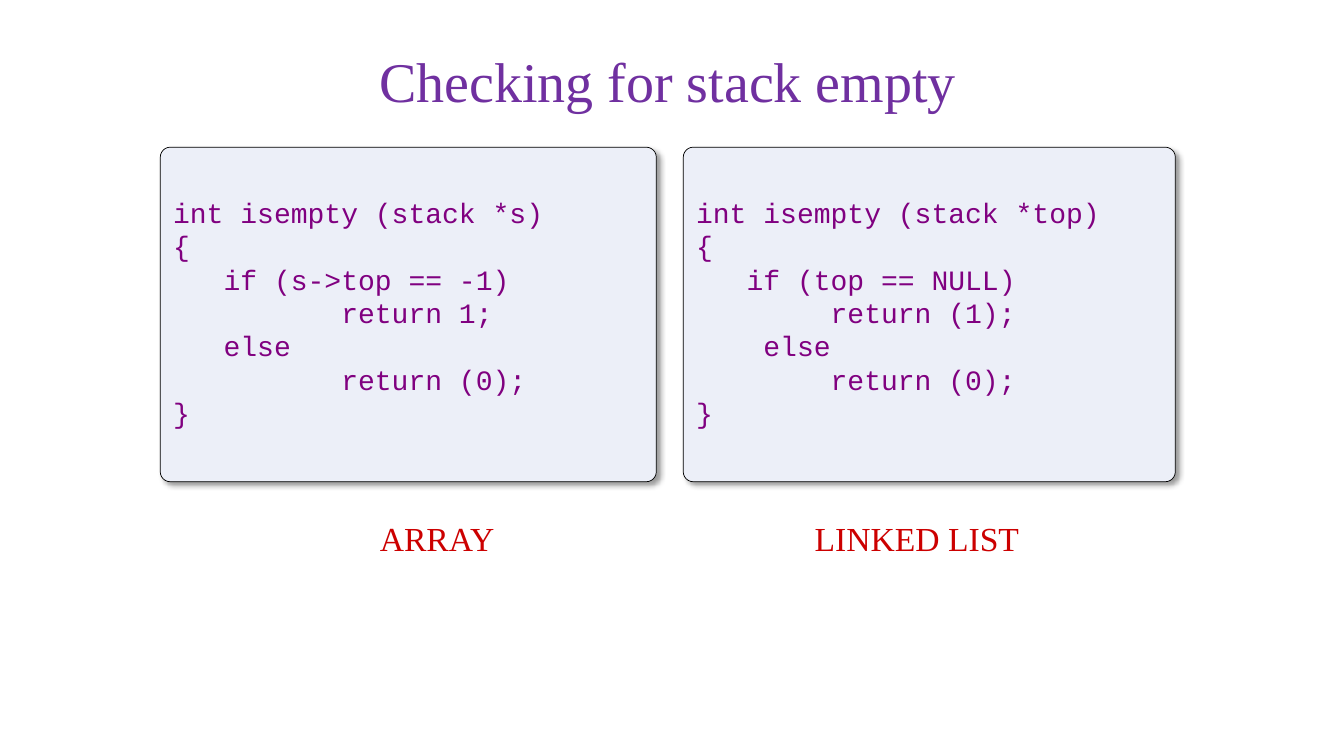
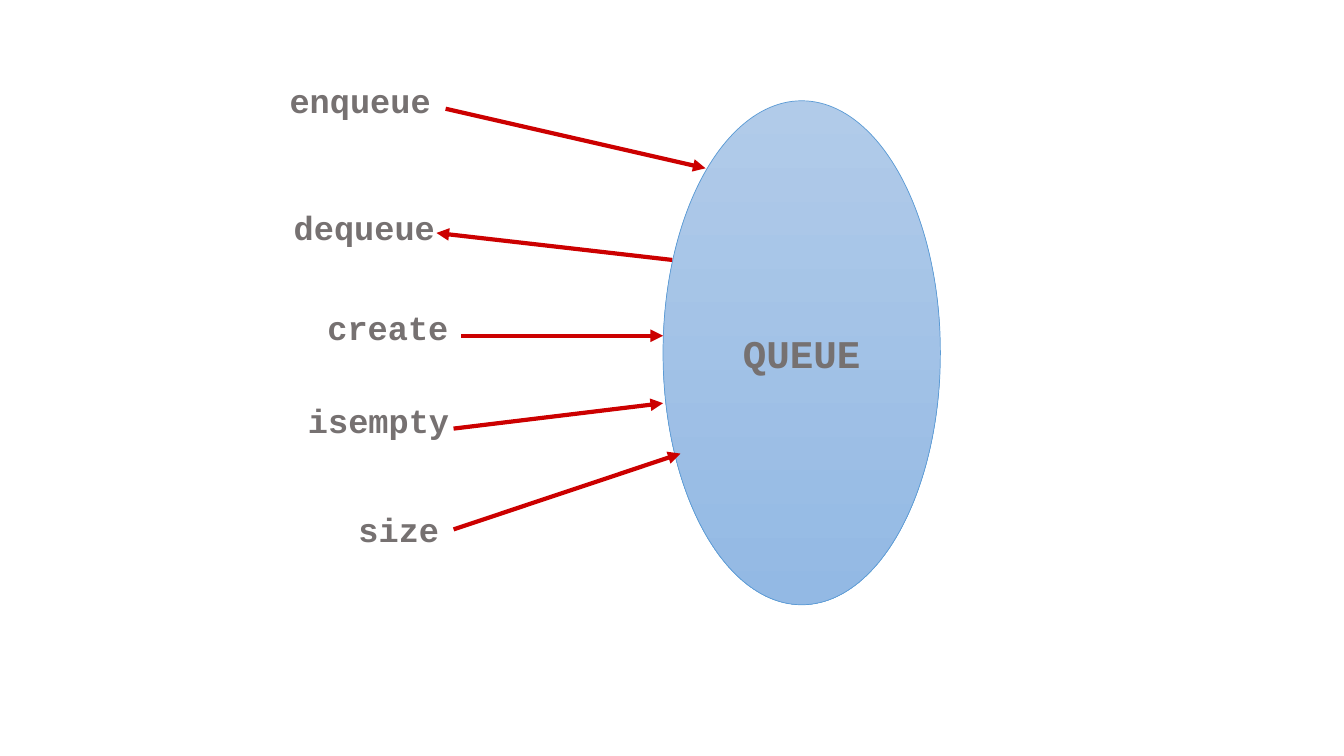
from dataclasses import dataclass

from lxml import etree
from pptx import Presentation
from pptx.dml.color import RGBColor
from pptx.enum import shapes, text
from pptx.oxml import ns
from pptx.util import Cm, Pt


@dataclass(frozen=True)
class Theme:
    serif: str = "Times New Roman"
    mono: str = "Courier New"
    title: str = "7030A0"
    code: str = "800080"
    accent: str = "CC0000"
    grey: str = "767171"
    panel: str = "ECEFF8"
    black: str = "000000"
    ellipse_top: str = "B1CBE9"
    ellipse_bottom: str = "93B9E4"
    ellipse_line: str = "5B9BD5"
    title_size: int = 40
    queue_size: int = 28
    label_size: int = 24
    code_size: int = 20


THEME = Theme()
LABEL_HEIGHT = 1.27
PANEL_TOP, PANEL_HEIGHT = 3.71, 8.43
CAPTION_TOP = 12.93

STACK_TITLE = "Checking for stack empty"
STACK_PANELS = [
    {
        "left": 4.04, "width": 12.5,
        "caption": ("ARRAY", 8.69, 4.65),
        "code": [
            "int isempty (stack *s)",
            "{",
            "   if (s->top == -1)",
            "          return 1;",
            "   else",
            "          return (0);",
            "}",
        ],
    },
    {
        "left": 17.22, "width": 12.4,
        "caption": ("LINKED LIST", 19.89, 6.43),
        "code": [
            "int isempty (stack *top)",
            "{",
            "   if (top == NULL)",
            "        return (1);",
            "    else",
            "        return (0);",
            "}",
        ],
    },
]

QUEUE_NAME = "QUEUE"
QUEUE_BOX = (16.71, 2.54, 6.99, 12.7)
QUEUE_OPERATIONS = [
    ("enqueue", (6.93, 1.9, 4.29), (11.23, 2.74), (17.78, 4.24)),
    ("dequeue", (6.93, 5.08, 4.5), (16.94, 6.55), (11, 5.87)),
    ("create", (7.92, 7.62, 3.71), (11.63, 8.46), (16.71, 8.46)),
    ("isempty", (7.42, 9.96, 4.24), (11.43, 10.8), (16.71, 10.16)),
    ("size", (8.46, 12.7, 3.18), (11.43, 13.34), (17.15, 11.43)),
]


def color(value):
    return RGBColor.from_string(value)


def lengths(*values):
    return [Cm(value) for value in values]


def add_element(parent, tag, **attributes):
    return etree.SubElement(parent, ns.qn(tag), attributes)


def write(frame, lines, font_name, size, font_color, bold=False,
          align=text.PP_ALIGN.CENTER, line_spacing=None, gap=0):
    for index, line in enumerate(lines):
        paragraph = frame.paragraphs[0] if index == 0 else frame.add_paragraph()
        paragraph.alignment = align
        paragraph.line_spacing = line_spacing
        if index:
            paragraph.space_before = Pt(gap)
        run = paragraph.add_run()
        run.text = line
        run.font.name = font_name
        run.font.size = Pt(size)
        run.font.bold = bold
        run.font.color.rgb = color(font_color)


def add_title(slide, title):
    shape = slide.shapes.title
    shape.left, shape.top, shape.width, shape.height = lengths(4.72, 0.53, 24.21, 3.18)
    shape.text_frame.vertical_anchor = text.MSO_ANCHOR.MIDDLE
    write(shape.text_frame, [title], THEME.serif, THEME.title_size, THEME.title,
          line_spacing=0.9)


def add_label(slide, label, left, top, width, font_name, font_color, bold=False):
    shape = slide.shapes.add_textbox(*lengths(left, top, width, LABEL_HEIGHT))
    frame = shape.text_frame
    frame.word_wrap = True
    frame.auto_size = text.MSO_AUTO_SIZE.SHAPE_TO_FIT_TEXT
    write(frame, [label], font_name, THEME.label_size, font_color, bold)


def add_outlined(slide, kind, box, line_color):
    shape = slide.shapes.add_shape(kind, *lengths(*box))
    shape.shadow.inherit = False
    shape.line.color.rgb = color(line_color)
    shape.line.width = Pt(0.5)
    shape.text_frame.vertical_anchor = text.MSO_ANCHOR.MIDDLE
    return shape


def add_code_panel(slide, left, width, code):
    shape = add_outlined(slide, shapes.MSO_SHAPE.ROUNDED_RECTANGLE,
                         (left, PANEL_TOP, width, PANEL_HEIGHT), THEME.black)
    shape.adjustments[0] = 0.03
    shape.fill.solid()
    shape.fill.fore_color.rgb = color(THEME.panel)
    effects = shape.element.spPr.find(ns.qn("a:effectLst"))
    shadow = add_element(effects, "a:outerShdw", blurRad=str(Pt(4)), dist=str(Pt(3)),
                         dir="2700000", algn="tl", rotWithShape="0")
    shadow_color = add_element(shadow, "a:srgbClr", val=THEME.black)
    add_element(shadow_color, "a:alpha", val="40000")
    shape.text_frame.word_wrap = True
    write(shape.text_frame, code, THEME.mono, THEME.code_size, THEME.code,
          align=text.PP_ALIGN.LEFT, line_spacing=0.9, gap=2.25)


def add_queue(slide):
    shape = add_outlined(slide, shapes.MSO_SHAPE.OVAL, QUEUE_BOX, THEME.ellipse_line)
    shape.fill.gradient()
    shape.fill.gradient_angle = 270
    for stop, value in zip(shape.fill.gradient_stops,
                           (THEME.ellipse_top, THEME.ellipse_bottom)):
        stop.color.rgb = color(value)
    shape.text_frame.word_wrap = False
    write(shape.text_frame, [QUEUE_NAME], THEME.mono, THEME.queue_size, THEME.grey, True)


def add_arrow(slide, start, end):
    arrow = slide.shapes.add_connector(shapes.MSO_CONNECTOR.STRAIGHT,
                                       *lengths(*start, *end))
    arrow.line.color.rgb = color(THEME.accent)
    arrow.line.width = Pt(3)
    add_element(arrow.line._get_or_add_ln(), "a:tailEnd", type="triangle")
    add_element(arrow.element.spPr, "a:effectLst")


def build_stack_slide(presentation):
    slide = presentation.slides.add_slide(presentation.slide_layouts[5])
    add_title(slide, STACK_TITLE)
    for panel in STACK_PANELS:
        add_code_panel(slide, panel["left"], panel["width"], panel["code"])
        caption, left, width = panel["caption"]
        add_label(slide, caption, left, CAPTION_TOP, width, THEME.serif, THEME.accent)


def build_queue_slide(presentation):
    slide = presentation.slides.add_slide(presentation.slide_layouts[6])
    add_queue(slide)
    for name, label_box, start, end in QUEUE_OPERATIONS:
        add_arrow(slide, start, end)
        add_label(slide, name, *label_box, THEME.mono, THEME.grey, True)


def main():
    presentation = Presentation()
    presentation.slide_width, presentation.slide_height = lengths(33.87, 19.05)
    build_stack_slide(presentation)
    build_queue_slide(presentation)
    presentation.save("out.pptx")


if __name__ == "__main__":
    main()
